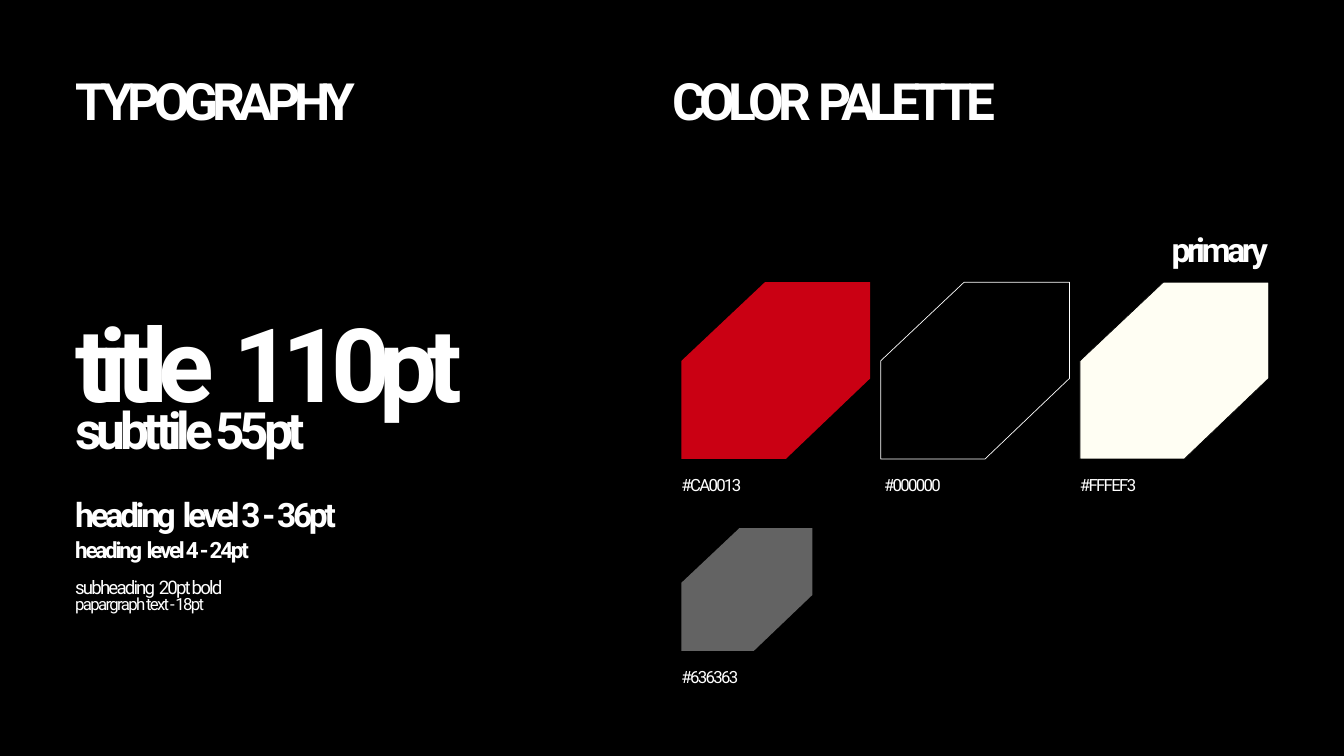
from pptx import Presentation
from pptx.dml.color import RGBColor
from pptx.enum.text import MSO_ANCHOR, MSO_AUTO_SIZE, PP_ALIGN
from pptx.util import Inches, Pt

LEFT, RIGHT = PP_ALIGN.LEFT, PP_ALIGN.RIGHT
TOP = MSO_ANCHOR.TOP
NO_AUTOFIT = MSO_AUTO_SIZE.NONE

FONT = "Roboto"
BLACK, WHITE = "000000", "FFFFFF"
TITLE_ONLY = 5
LINE_RATIO = 0.79
HEADING_SIZE, HEADING_TRACKING = 55, -6.5

TYPE_SCALE = [
    ("title  110pt", 110, True, 3.75),
    ("subttile 55pt", 55, True, 4.9),
    ("heading  level 3 - 36pt", 36, True, 6.22),
    ("heading  level 4 - 24pt", 24, True, 6.77),
    ("subheading  20pt bold", 20, False, 7.34),
    ("papargraph text - 18pt", 18, False, 7.6),
]
PRIMARY_SWATCHES = [
    ("CA0013", None, 0),
    ("000000", WHITE, 0.05),
    ("FFFEF3", BLACK, 0),
]
SWATCH_OUTLINE = [(1, 0), (1, 0.544), (0.553, 1), (0, 1), (0, 0.445), (0.442, 0)]
SWATCH_WIDTH, SWATCH_HEIGHT, SWATCH_PITCH = 2.81, 2.63, 2.965
SMALL_SCALE = 0.694
LABEL_GAP = 0.34


def color(hex_string):
    return RGBColor.from_string(hex_string)


def write_text(shape, text, size, bold=False, tracking=None, align=LEFT):
    frame = shape.text_frame
    frame.margin_left = frame.margin_right = 0
    frame.margin_top = frame.margin_bottom = 0
    frame.word_wrap = True
    frame.auto_size = NO_AUTOFIT
    frame.vertical_anchor = TOP
    paragraph = frame.paragraphs[0]
    paragraph.alignment = align
    paragraph.line_spacing = Pt(round(size * LINE_RATIO, 1))
    run = paragraph.add_run()
    run.text = text
    run.font.name = FONT
    run.font.size = Pt(size)
    run.font.bold = bold
    run.font.color.rgb = color(WHITE)
    spacing = -size / 10 if tracking is None else tracking
    run.font._element.set("spc", str(round(spacing * 100)))


def add_text(slide, text, left, top, width, size, **text_format):
    shape = slide.shapes.add_textbox(
        Inches(left), Inches(top), Inches(width), Inches(size / 80)
    )
    write_text(shape, text, size, **text_format)


def add_swatch(slide, left, top, width, height, fill, line=None, label_offset=0):
    points = [
        (Inches(left + x * width), Inches(top + y * height)) for x, y in SWATCH_OUTLINE
    ]
    builder = slide.shapes.build_freeform(*points[0])
    builder.add_line_segments(points[1:], close=True)
    shape = builder.convert_to_shape()
    shape.shadow.inherit = False
    shape.fill.solid()
    shape.fill.fore_color.rgb = color(fill)
    if line:
        shape.line.color.rgb = color(line)
        shape.line.width = Pt(0.75)
    else:
        shape.line.fill.background()
    label_top = top + height + LABEL_GAP
    add_text(slide, f"#{fill}", left + label_offset, label_top, 1.61, 18)


def add_typography(slide, left, top, width):
    title = slide.shapes.title
    title.left, title.top = Inches(left), Inches(top)
    title.width, title.height = Inches(width), Inches(HEADING_SIZE / 80)
    write_text(title, "TYPOGRAPHY", HEADING_SIZE, bold=True, tracking=HEADING_TRACKING)
    for text, size, bold, offset in TYPE_SCALE:
        add_text(slide, text, left, top + offset, width, size, bold=bold)


def add_palette(slide, left, top, width):
    add_text(slide, "COLOR  PALETTE", left, top, 6.11, HEADING_SIZE,
             bold=True, tracking=HEADING_TRACKING)
    add_text(slide, "primary", left + width - 2.45, top + 2.27, 2.45, 36,
             bold=True, align=RIGHT)
    grid_left, grid_top = left + 0.14, top + 2.86
    for index, (fill, line, label_offset) in enumerate(PRIMARY_SWATCHES):
        add_swatch(slide, grid_left + index * SWATCH_PITCH, grid_top,
                   SWATCH_WIDTH, SWATCH_HEIGHT, fill, line, label_offset)
    add_swatch(slide, grid_left, top + 6.52, SWATCH_WIDTH * SMALL_SCALE,
               SWATCH_HEIGHT * SMALL_SCALE, "636363")


def main():
    presentation = Presentation()
    presentation.slide_width = Inches(20)
    presentation.slide_height = Inches(11.25)
    slide = presentation.slides.add_slide(presentation.slide_layouts[TITLE_ONLY])
    slide.background.fill.solid()
    slide.background.fill.fore_color.rgb = color(BLACK)
    add_typography(slide, 1.12, 1.34, 6.74)
    add_palette(slide, 10, 1.34, 8.87)
    presentation.save("out.pptx")


if __name__ == "__main__":
    main()
